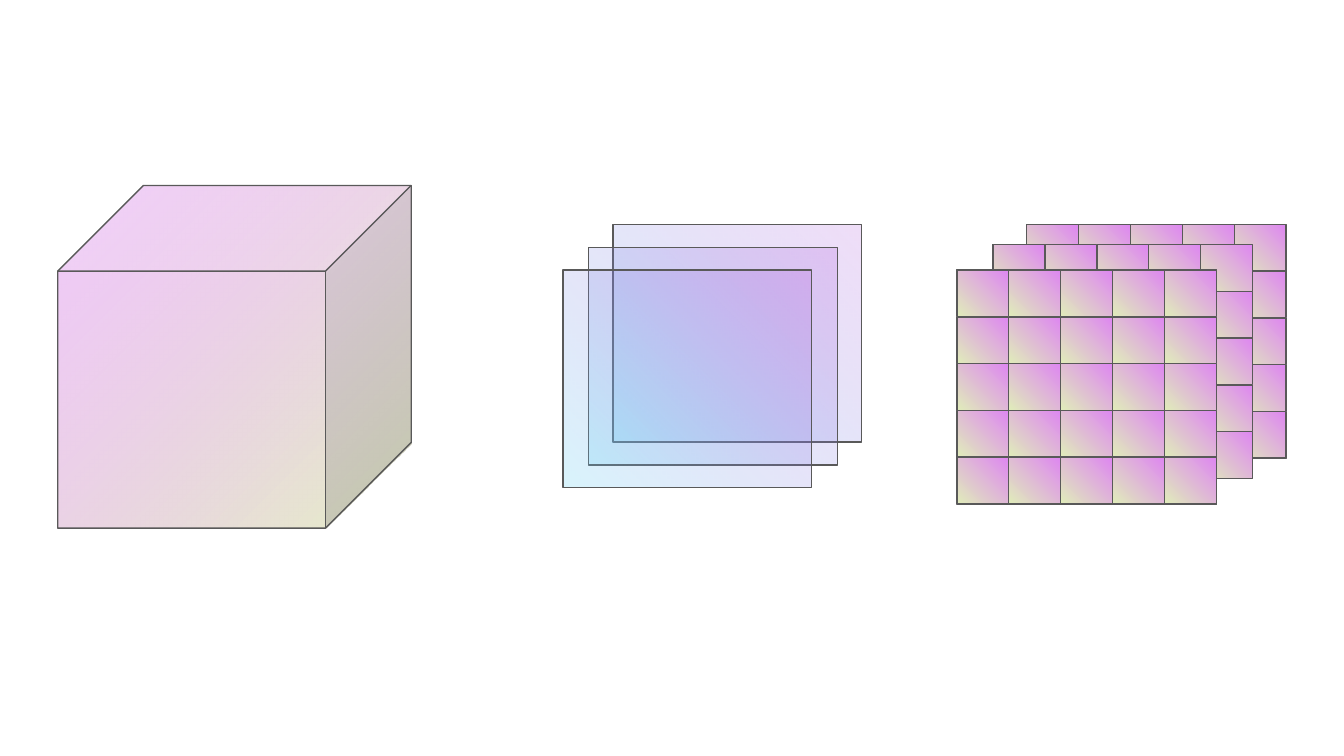
from itertools import product

from lxml import etree
from pptx import Presentation
from pptx.dml.color import RGBColor
from pptx.enum.shapes import MSO_SHAPE
from pptx.oxml.ns import qn
from pptx.util import Inches, Pt

CUBE = MSO_SHAPE.CUBE
RECTANGLE = MSO_SHAPE.RECTANGLE

OUTLINE = "595959"
GREEN_TO_PINK = ("E0EDBA", "DE87F1")
BLUE_TO_PURPLE = ("69D4F4", "9F39D5")
OPAQUE = (100, 100)

GRID_SIZE = 5
GRID_WIDTH, GRID_HEIGHT = 1.93, 1.74


def color(hex_value):
    return RGBColor.from_string(hex_value)


def fill_gradient(shape, colors, opacities):
    """Fill along the diagonal, starting from the bottom right corner."""
    shape.fill.gradient()
    shape.fill.gradient_angle = 135
    for stop, hex_value in zip(shape.fill.gradient_stops, colors):
        stop.color.rgb = color(hex_value)
    color_nodes = shape._element.spPr.iter(qn("a:srgbClr"))
    for node, opacity in zip(list(color_nodes), opacities):
        if opacity < 100:
            etree.SubElement(node, qn("a:alpha")).set("val", str(opacity * 1000))


def add_solid(shapes, kind, left, top, width, height, colors, opacities=OPAQUE):
    shape = shapes.add_shape(
        kind, Inches(left), Inches(top), Inches(width), Inches(height))
    shape.shadow.inherit = False
    fill_gradient(shape, colors, opacities)
    shape.line.color.rgb = color(OUTLINE)
    shape.line.width = Pt(0.75)
    return shape


def add_panel(shapes, *args):
    """Add a mirrored rectangle, so its gradient starts at the bottom left."""
    panel = add_solid(shapes, RECTANGLE, *args)
    panel._element.spPr.find(qn("a:xfrm")).set("flipH", "1")


def add_grid(shapes, left, top):
    group = shapes.add_group_shape()
    add_panel(group.shapes, left, top, GRID_WIDTH, GRID_HEIGHT, GREEN_TO_PINK)
    cell_width, cell_height = GRID_WIDTH / GRID_SIZE, GRID_HEIGHT / GRID_SIZE
    for row, column in product(range(GRID_SIZE), repeat=2):
        add_panel(group.shapes, left + column * cell_width,
                  top + row * cell_height, cell_width, cell_height, GREEN_TO_PINK)


def main():
    # Widescreen page, 16:9
    deck = Presentation()
    deck.slide_width, deck.slide_height = Inches(10), Inches(10 * 9 / 16)
    page = deck.slides.add_slide(deck.slide_layouts[6])

    # Translucent cube
    cube = add_solid(page.shapes, CUBE, 0.43, 1.38, 2.63, 2.55,
                     GREEN_TO_PINK, (79, 48))
    cube.adjustments[0] = 0.25

    # Stack of translucent sheets, back to front
    for left, top in ((4.56, 1.67), (4.38, 1.84), (4.19, 2.01)):
        add_panel(page.shapes, left, top, 1.85, 1.62, BLUE_TO_PURPLE, (26, 17))

    # Stack of cell grids, back to front
    for left, top in ((7.64, 1.67), (7.39, 1.82), (7.12, 2.01)):
        add_grid(page.shapes, left, top)

    deck.save("out.pptx")


if __name__ == "__main__":
    main()
